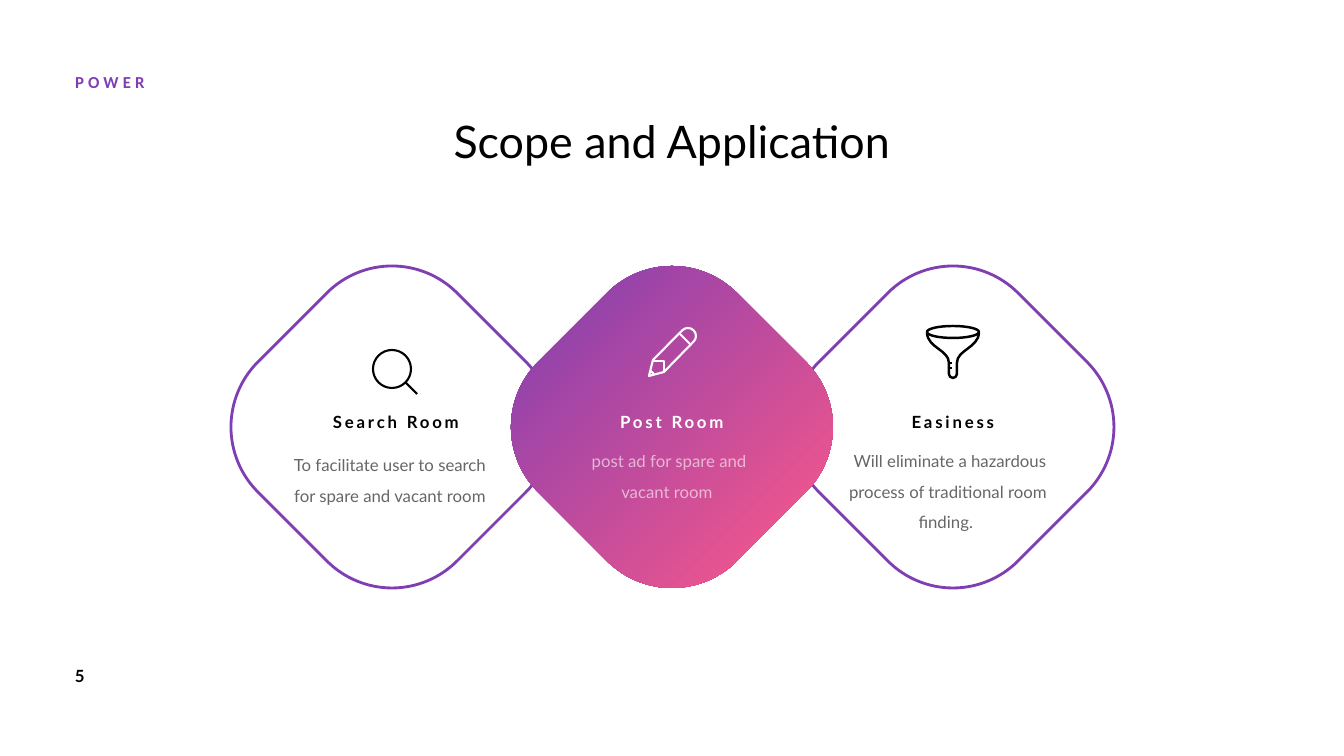
import math
from dataclasses import dataclass

import pptx
import pptx.dml.color
import pptx.enum.text
import pptx.util

EMU_PER_PX = 914400 / 100.8
ALIGN = pptx.enum.text.PP_ALIGN
AUTO_SIZE = pptx.enum.text.MSO_AUTO_SIZE
ANCHOR = pptx.enum.text.MSO_ANCHOR


@dataclass(frozen=True)
class Theme:
    purple: str = "7F3EB2"
    pink: str = "FF5988"
    black: str = "000000"
    white: str = "FFFFFF"
    body_alpha: int = 60
    title_size: int = 32
    text_size: int = 12
    font: str = "Lato"
    label_font: str = "Calibri"
    outline_width: int = 2


THEME = Theme()


def px(value):
    return pptx.util.Emu(round(value * EMU_PER_PX))


def rgb(value):
    return pptx.dml.color.RGBColor.from_string(value)


def set_values(target, values):
    for name, value in values.items():
        setattr(target, name, value)


def write_text(shape, text, color, size=THEME.text_size, font=THEME.font, bold=False,
               spacing=0, alpha=100, align=ALIGN.LEFT, line_spacing=1.0):
    """Fill a shape with one formatted run; spacing is in points, alpha in percent."""
    paragraph = shape.text_frame.paragraphs[0]
    set_values(paragraph, {"alignment": align, "line_spacing": line_spacing})
    run = paragraph.add_run()
    run.text = text
    set_values(run.font, {"name": font, "size": pptx.util.Pt(size), "bold": bold})
    run.font.color.rgb = rgb(color)
    properties = run.font._element
    if spacing:
        properties.set("spc", str(spacing * 100))
    if alpha < 100:
        color_element = properties.find(".//" + pptx.oxml.ns.qn("a:srgbClr"))
        alpha_element = pptx.oxml.parse_xml(
            f'<a:alpha {pptx.oxml.ns.nsdecls("a")} val="{alpha * 1000}"/>')
        color_element.append(alpha_element)


def add_text(slide, box, text, color, margins=(0, 0, 0, 0), wrap=True, **format_values):
    shape = slide.shapes.add_textbox(*map(px, box))
    left, top, right, bottom = map(px, margins)
    set_values(shape.text_frame, {
        "margin_left": left, "margin_top": top, "margin_right": right,
        "margin_bottom": bottom, "word_wrap": wrap,
        "auto_size": AUTO_SIZE.SHAPE_TO_FIT_TEXT})
    write_text(shape, text, color, **format_values)


def arc(center, radii, start, sweep, count):
    """A line to the start of an elliptic arc, then count Bezier pieces of sweep degrees."""
    def point(angle, along=0):
        cosine, sine = math.cos(angle), math.sin(angle)
        return (center[0] + radii[0] * (cosine - along * sine),
                center[1] + radii[1] * (sine + along * cosine))

    step = math.radians(sweep)
    handle = 4 / 3 * math.tan(step / 4)
    angles = [math.radians(start) + step * i for i in range(count + 1)]
    curves = [(point(a, handle), point(b, -handle), point(b))
              for a, b in zip(angles, angles[1:])]
    return [(point(angles[0]),), *curves]


def lines(*points):
    return [(point,) for point in points]


def add_outline(slide, contours, color=None, width=THEME.outline_width):
    """Draw (pieces, closed) contours as one shape; one point is a line, three a curve."""
    builder = None
    for pieces, closed in contours:
        first, *rest = [(px(x), px(y)) for piece in pieces for x, y in piece]
        if builder is None:
            builder = slide.shapes.build_freeform(*first)
        else:
            builder.move_to(*first)
        builder.add_line_segments(rest, close=closed)
    shape = builder.convert_to_shape()
    segments = iter(shape._element.findall(".//" + pptx.oxml.ns.qn("a:lnTo")))
    for pieces, _ in contours:
        for piece in pieces[1:]:
            segment = next(segments)
            if len(piece) == 3:
                segment.tag = pptx.oxml.ns.qn("a:cubicBezTo")
                for _ in range(2):
                    extra = next(segments)
                    segment.append(extra[0])
                    extra.getparent().remove(extra)
    shape.shadow.inherit = False
    shape.fill.background()
    if color is None:
        shape.line.fill.background()
    else:
        shape.line.color.rgb = rgb(color)
        shape.line.width = pptx.util.Pt(width)
    return shape


def add_diamond(slide, center_x, filled):
    center_y, corner_offset, radius = 427, 69, 92
    pieces = []
    for angle in (0, 90, 180, 270):
        x = center_x + corner_offset * math.cos(math.radians(angle))
        y = center_y + corner_offset * math.sin(math.radians(angle))
        pieces += arc((x, y), (radius, radius), angle - 45, 45, 2)
    shape = add_outline(slide, [(pieces, True)], None if filled else THEME.purple)
    if filled:
        shape.fill.gradient()
        shape.fill.gradient_angle = 315
        for stop, color in zip(shape.fill.gradient_stops, (THEME.purple, THEME.pink)):
            stop.color.rgb = rgb(color)


def add_magnifier(slide):
    lens = arc((392, 369), (19, 19), 0, 90, 4)
    add_outline(slide, [(lens, True), (lines((405, 382), (417, 394)), False)],
                THEME.black, 1.5)


def add_pencil(slide):
    body = [*lines((649, 376), (653, 360)), *arc((688, 336), (8, 8), 225, 90, 2),
            *lines((664, 372))]
    ferrule = lines((680, 334), (691, 345))
    shoulder = lines((653, 361), (664, 361), (664, 372))
    lead = lines((651, 371), (654, 374))
    add_outline(slide, [(body, True), (ferrule, False), (shoulder, False), (lead, False)],
                THEME.white, 1.5)


def add_funnel(slide):
    rim = arc((953, 332), (26, 6), 0, 90, 4)
    cone = [*lines((927, 333)), ((928, 348), (949, 350), (949, 363)),
            *arc((953, 374), (4, 4), 180, -90, 2),
            *lines((957, 363)), ((957, 350), (978, 348), (979, 333))]
    ticks = [(lines((949, y), (952, y)), False) for y in (363, 368)]
    add_outline(slide, [(rim, True), (cone, False), *ticks], THEME.black, 1.75)


def add_title(slide, text):
    title = slide.shapes.title
    set_values(title, dict(zip(("left", "top", "width", "height"),
                               map(px, (197, 117, 950, 54)))))
    set_values(title.text_frame, {"auto_size": AUTO_SIZE.NONE,
                                  "vertical_anchor": ANCHOR.MIDDLE, "word_wrap": True})
    write_text(title, text, THEME.black, size=THEME.title_size, align=ALIGN.CENTER,
               line_spacing=0.9)


def add_caption(slide, heading, heading_left, body, body_box, color):
    add_text(slide, (heading_left, 416, 194, 17), heading, color, bold=True, spacing=2,
             align=ALIGN.CENTER, line_spacing=0.8)
    add_text(slide, body_box, body, color, margins=(0, 0, 10, 0),
             alpha=THEME.body_alpha, align=ALIGN.CENTER, line_spacing=1.5)


def main():
    presentation = pptx.Presentation()
    presentation.slide_width, presentation.slide_height = px(1344), px(756)
    slide = presentation.slides.add_slide(presentation.slide_layouts[5])

    add_text(slide, (65, 661, 40, 30), "5", THEME.black, margins=(10, 5, 10, 5),
             wrap=False, bold=True)
    add_text(slide, (75, 67, 78, 30), "POWER", THEME.purple, margins=(0, 5, 0, 5),
             wrap=False, font=THEME.label_font, bold=True, spacing=3)
    add_title(slide, "Scope and Application")

    for center_x, filled in ((953, False), (392, False), (672, True)):
        add_diamond(slide, center_x, filled)
    add_magnifier(slide)
    add_pencil(slide)
    add_funnel(slide)

    add_caption(slide, "Search Room", 299,
                "To facilitate user to search for spare and vacant room",
                (285, 445, 220, 57), THEME.black)
    add_caption(slide, "Post Room", 575, " post ad for spare and vacant room",
                (562, 441, 220, 57), THEME.white)
    add_caption(slide, "Easiness", 856,
                " Will eliminate a hazardous process of traditional room finding. ",
                (843, 441, 220, 92), THEME.black)
    presentation.save("out.pptx")


if __name__ == "__main__":
    main()
